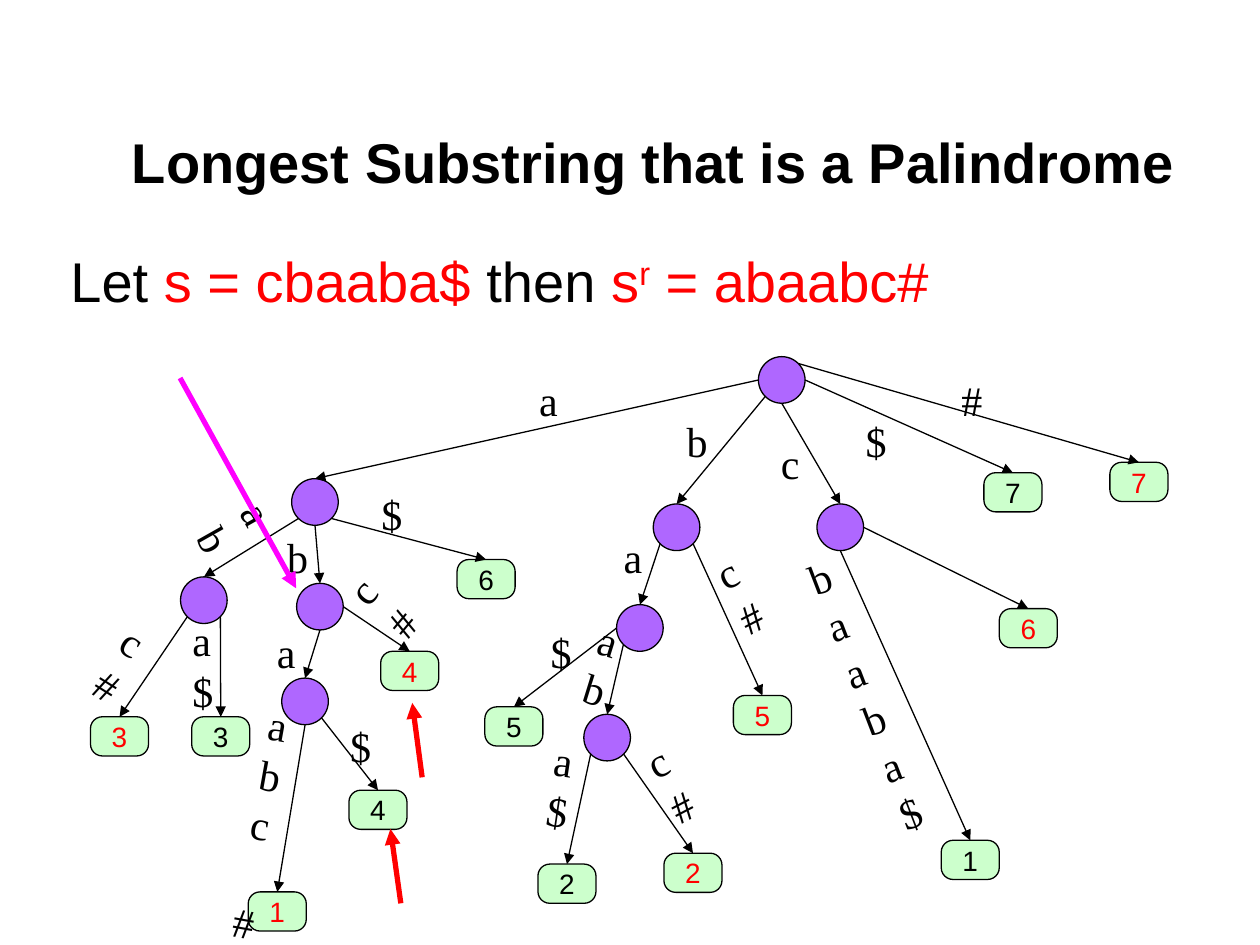
from math import cos, radians, sin

from lxml import etree
from pptx import Presentation
from pptx import util as u
from pptx.dml.color import RGBColor
from pptx.enum import shapes, text
from pptx.oxml import ns

BLACK = RGBColor(0x00, 0x00, 0x00)
RED = RGBColor(0xFF, 0x00, 0x00)
MAGENTA = RGBColor(0xFF, 0x00, 0xFF)
PURPLE = RGBColor(0xAF, 0x67, 0xFF)
GREEN = RGBColor(0xCC, 0xFF, 0xCC)

EAST, SOUTH_EAST, SOUTH, SOUTH_WEST, WEST, NORTH_EAST = 0, 45, 90, 135, 180, -45

INNER_NODES = {
    "root": (15.76, 7.19),
    "a": (6.35, 9.65),
    "b": (13.64, 10.16),
    "c": (16.94, 10.16),
    "aab": (4.11, 11.63),
    "ab": (6.45, 11.76),
    "aba": (6.15, 13.67),
    "ba": (12.9, 12.19),
    "baab": (12.24, 14.4),
}

INNER_EDGES = [
    ("root", WEST, "a"),
    ("root", SOUTH_WEST, "b"),
    ("root", SOUTH, "c"),
    ("a", SOUTH_WEST, "aab"),
    ("a", SOUTH, "ab"),
    ("ab", SOUTH, "aba"),
    ("b", SOUTH_WEST, "ba"),
    ("ba", SOUTH_WEST, "baab"),
]

LEAVES = [
    ("root", EAST, "7", BLACK, 20.42, 9.53),
    ("root", NORTH_EAST, "7", RED, 22.96, 9.32),
    ("a", SOUTH_EAST, "6", BLACK, 9.8, 11.28),
    ("aab", SOUTH_WEST, "3", RED, 2.41, 14.45),
    ("aab", SOUTH_EAST, "3", BLACK, 4.45, 14.45),
    ("ab", EAST, "4", RED, 8.26, 13.13),
    ("aba", SOUTH_EAST, "4", BLACK, 7.62, 15.93),
    ("aba", SOUTH, "1", RED, 5.59, 17.98),
    ("b", SOUTH_EAST, "5", RED, 15.37, 14.02),
    ("ba", WEST, "5", BLACK, 10.36, 14.25),
    ("baab", SOUTH_WEST, "2", BLACK, 11.43, 17.42),
    ("baab", SOUTH_EAST, "2", RED, 13.97, 17.2),
    ("c", SOUTH, "1", BLACK, 19.56, 16.94),
    ("c", EAST, "6", RED, 20.73, 12.27),
]

EDGE_LABELS = [
    ("a", 10.62, 7.42, 0),
    ("b", 13.59, 8.26, 0),
    ("c", 15.49, 8.69, 0),
    ("$", 17.2, 8.26, 0),
    ("#", 19.13, 7.42, 0),
    ("a b", 4.27, 9.55, 60.6),
    ("b", 5.54, 10.59, 0),
    ("$", 7.44, 9.73, 0),
    ("c #", 1.96, 12.27, 31.9),
    ("a $", 3.63, 12.27, 0),
    ("c #", 7.21, 11.02, 309.9),
    ("a", 5.33, 12.5, 0),
    ("$", 6.81, 14.4, 0),
    ("abc\n#", 4.9, 13.97, 10.2),
    ("a", 12.32, 10.59, 0),
    ("c #", 14.43, 10.8, 332.8),
    ("$", 10.85, 12.5, 0),
    ("a b", 11.68, 12.27, 17.2),
    ("a $", 10.85, 14.71, 8.5),
    ("c #", 13.03, 14.61, 332.4),
    ("baaba$", 16.97, 10.8, 339),
]

POINTERS = [
    ((8.08, 18.21), (7.87, 16.71), RED),
    ((8.51, 15.67), (8.31, 14.17), RED),
    ((3.63, 7.62), (5.97, 11.86), MAGENTA),
]


class TreeSlide:
    sans, serif = "Arial", "Times New Roman"
    diameter = 0.94
    leaf_width, leaf_height = 1.17, 0.79

    def __init__(self, slide):
        self.shapes = slide.shapes

    def run(self, paragraph, words, size, color, font=sans, bold=False):
        run = paragraph.add_run()
        run.text = words
        run.font.name, run.font.size, run.font.bold = font, u.Pt(size), bold
        run.font.color.rgb = color
        return run

    def outline(self, kind, center, top, width, height, fill):
        shape = self.shapes.add_shape(
            kind, u.Cm(center - width / 2), u.Cm(top), u.Cm(width), u.Cm(height))
        shape.shadow.inherit = False
        shape.fill.solid()
        shape.fill.fore_color.rgb = fill
        shape.line.color.rgb = BLACK
        shape.line.width = u.Pt(0.75)
        return shape

    def node(self, center, top):
        return self.outline(shapes.MSO_SHAPE.OVAL, center, top,
                            self.diameter, self.diameter, PURPLE)

    def leaf(self, number, color, center, top):
        leaf = self.outline(shapes.MSO_SHAPE.ROUNDED_RECTANGLE, center, top,
                            self.leaf_width, self.leaf_height, GREEN)
        leaf.adjustments[0] = 0.3
        frame = leaf.text_frame
        frame.word_wrap = False
        frame.vertical_anchor = text.MSO_ANCHOR.MIDDLE
        frame.paragraphs[0].alignment = text.PP_ALIGN.CENTER
        self.run(frame.paragraphs[0], number, 16, color)
        return leaf

    def arrow(self, start, end, color=BLACK, width=0.75):
        arrow = self.shapes.add_connector(
            shapes.MSO_CONNECTOR.STRAIGHT, *map(u.Cm, start + end))
        arrow.line.color.rgb = color
        arrow.line.width = u.Pt(width)
        etree.SubElement(arrow.line._get_or_add_ln(), ns.qn("a:tailEnd"), type="triangle")
        etree.SubElement(arrow._element.spPr, ns.qn("a:effectLst"))
        return arrow

    def edge(self, parent, angle, child):
        center, top = parent
        radius = self.diameter / 2
        start = (center + radius * cos(radians(angle)),
                 top + radius + radius * sin(radians(angle)))
        self.arrow(start, start).end_connect(child, 0)

    def textbox(self, left, top, width, height, wrap=True):
        box = self.shapes.add_textbox(*map(u.Cm, (left, top, width, height)))
        box.text_frame.word_wrap = wrap
        box.text_frame.auto_size = text.MSO_AUTO_SIZE.SHAPE_TO_FIT_TEXT
        return box

    def edge_label(self, letters, left, top, rotation):
        lines = len(letters.replace(" ", "").replace("\n", ""))
        box = self.textbox(left, top, 1.07, 0.25 + 1.02 * lines)
        box.rotation = rotation
        first, *rest = letters.split("\n")
        self.run(box.text_frame.paragraphs[0], first, 24, BLACK, self.serif)
        for part in rest:
            paragraph = box.text_frame.add_paragraph()
            paragraph.space_before = u.Pt(28)
            self.run(paragraph, part, 24, BLACK, self.serif)

    def title(self, words):
        box = self.textbox(2.41, 2.44, 22.02, 1.63, wrap=False)
        self.run(box.text_frame.paragraphs[0], words, 32, BLACK, bold=True)

    def statement(self, parts):
        paragraph = self.textbox(1.17, 4.85, 23.06, 1.6).text_frame.paragraphs[0]
        for words, color, raised in parts:
            run = self.run(paragraph, words, 32, color)
            if raised:
                run._r.get_or_add_rPr().set("baseline", "30000")


def main():
    deck = Presentation()
    deck.slide_width, deck.slide_height = u.Cm(25.4), u.Cm(19.05)
    tree = TreeSlide(deck.slides.add_slide(deck.slide_layouts[6]))

    tree.title("Longest Substring that is a Palindrome")
    tree.statement([
        ("Let ", BLACK, False),
        ("s = cbaaba$", RED, False),
        (" then ", BLACK, False),
        ("s", RED, False),
        ("r", RED, True),
        (" = abaabc#", RED, False),
    ])
    nodes = {name: tree.node(*place) for name, place in INNER_NODES.items()}
    for parent, angle, child in INNER_EDGES:
        tree.edge(INNER_NODES[parent], angle, nodes[child])
    for parent, angle, *leaf in LEAVES:
        tree.edge(INNER_NODES[parent], angle, tree.leaf(*leaf))
    for label in EDGE_LABELS:
        tree.edge_label(*label)
    for start, end, color in POINTERS:
        tree.arrow(start, end, color, 3)
    deck.save("out.pptx")


if __name__ == "__main__":
    main()
